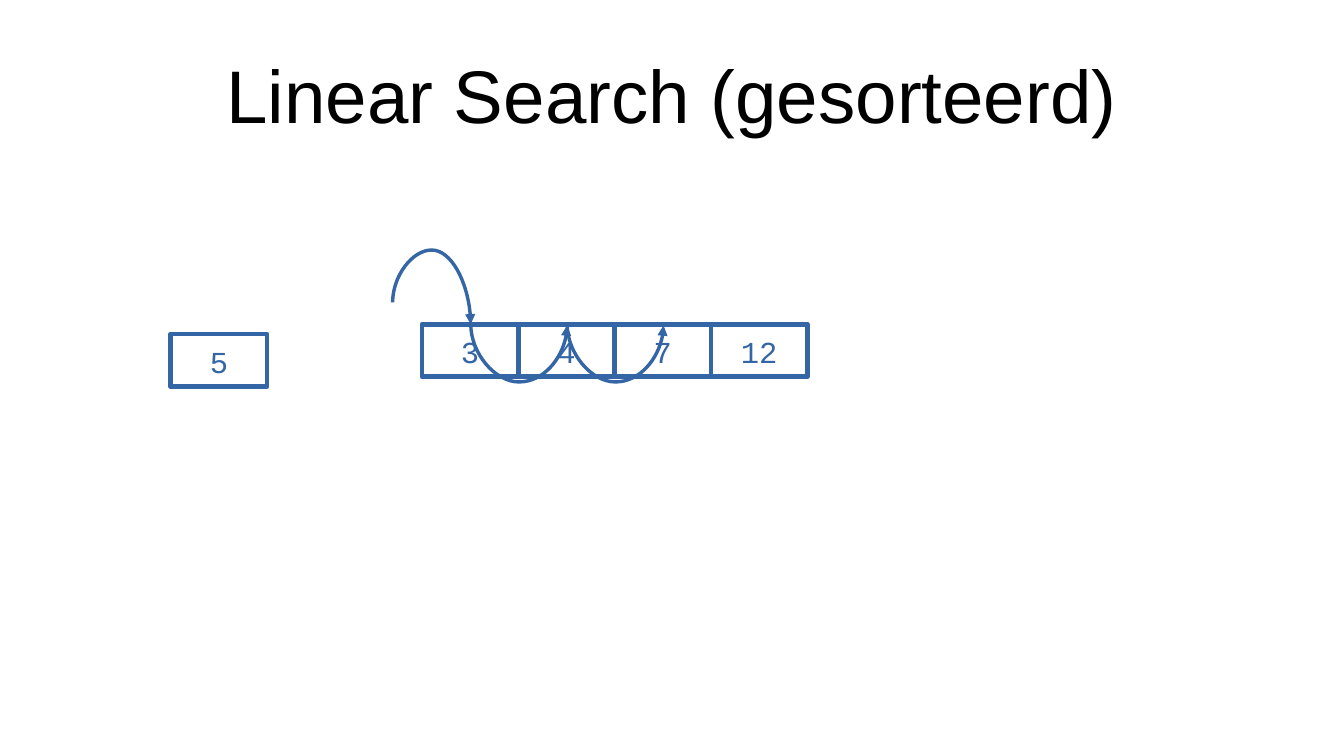
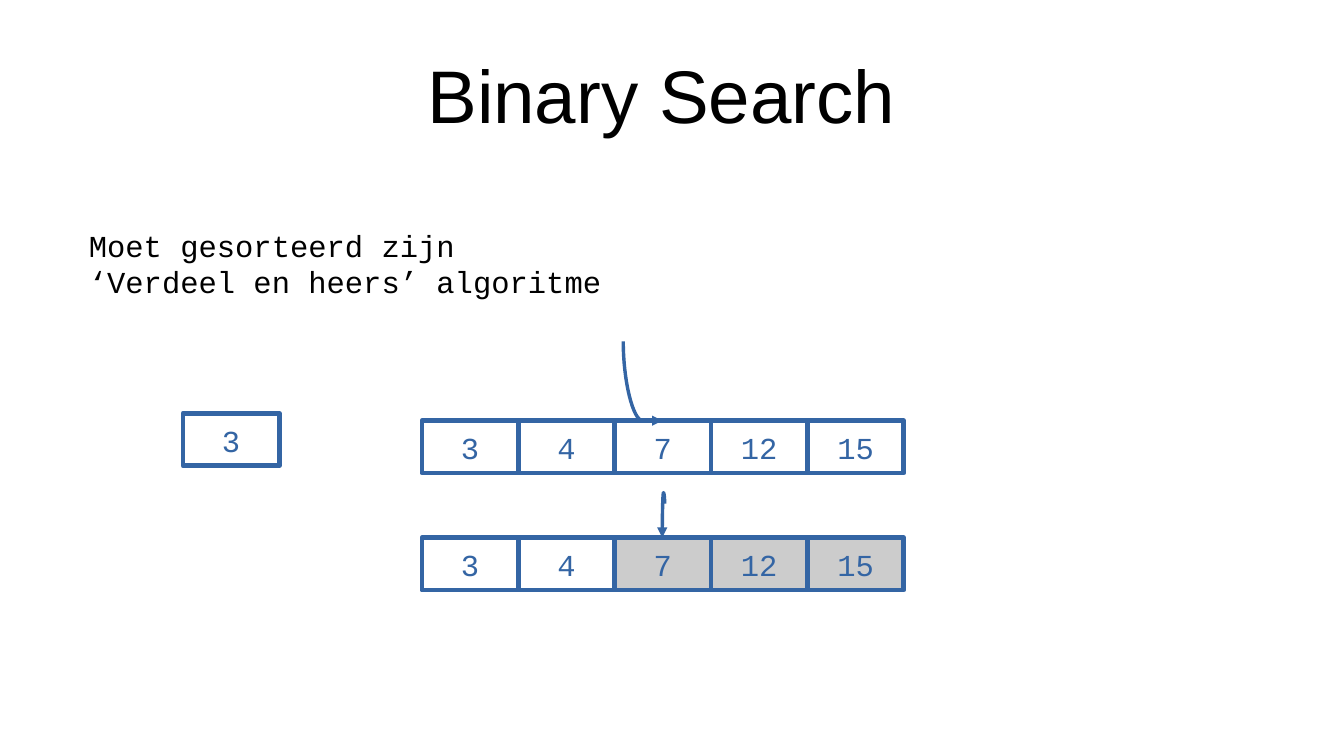
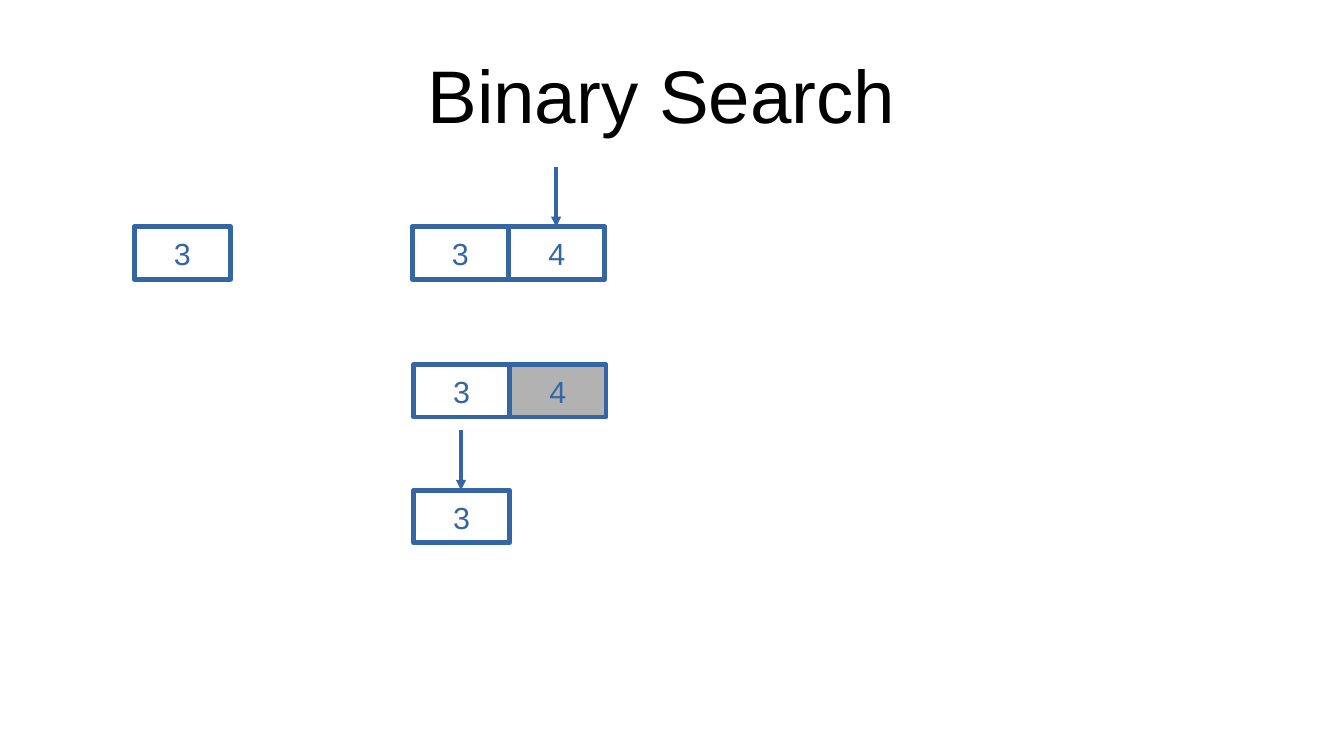
from dataclasses import dataclass

from pptx import Presentation
from pptx.dml.color import RGBColor as RGB
from pptx.enum.shapes import MSO_CONNECTOR as CONN, MSO_SHAPE as SHAPE
from pptx.enum.text import MSO_ANCHOR as ANCHOR, PP_ALIGN as ALIGN
from pptx.oxml.ns import qn
from pptx.util import Inches, Pt
from lxml.etree import SubElement


@dataclass(frozen=True)
class Theme:
    black: RGB = RGB.from_string("000000")
    blue: RGB = RGB.from_string("3465A4")
    light: RGB = RGB.from_string("CCCCCC")
    grey: RGB = RGB.from_string("B2B2B2")
    sans: str = "Arial"
    mono: str = "Courier New"
    title: float = 44
    body: float = 18
    border: float = 2.83
    cell_w: float = 0.79
    cell_h: float = 0.43


class Deck:
    """Draws search diagrams in one shared style."""

    def __init__(self, theme):
        self.t = theme
        self.prs = Presentation()
        self.prs.slide_width = Inches(11.02)
        self.prs.slide_height = Inches(6.2)
        self.s = None

    def slide(self, title):
        t = self.t
        self.s = self.prs.slides.add_slide(self.prs.slide_layouts[6])
        tf = self.s.shapes.add_textbox(*map(Inches, (0.55, 0.25, 9.92, 1.04))).text_frame
        tf.word_wrap = True
        self.label(tf, title, t.title, t.sans, t.black, ALIGN.CENTER, ANCHOR.MIDDLE, (0, 0))

    def label(self, tf, text, size, font, color, align, anchor, insets):
        tf.text = text
        tf.vertical_anchor = anchor
        tf.margin_left = tf.margin_right = Inches(insets[0])
        tf.margin_top = tf.margin_bottom = Inches(insets[1])
        for p in tf.paragraphs:
            p.alignment = align
            for r in p.runs:
                r.font.size = Pt(size)
                r.font.name = font
                r.font.color.rgb = color

    def note(self, x, y, w, h, text):
        t = self.t
        tf = self.s.shapes.add_textbox(*map(Inches, (x, y, w, h))).text_frame
        tf.word_wrap = False
        self.label(tf, text, t.body, t.mono, t.black, ALIGN.LEFT, ANCHOR.TOP, (0.1, 0.05))

    def cells(self, x, y, values, font=None, shaded=(), shade=None):
        t = self.t
        for i, value in enumerate(values):
            box = (x + i * t.cell_w, y, t.cell_w, t.cell_h)
            sp = self.s.shapes.add_shape(SHAPE.RECTANGLE, *map(Inches, box))
            sp.shadow.inherit = False
            if value in shaded:
                sp.fill.solid()
                sp.fill.fore_color.rgb = shade
            else:
                sp.fill.background()
            sp.line.color.rgb = t.blue
            sp.line.width = Pt(t.border)
            self.label(sp.text_frame, str(value), t.body, font or t.mono, t.blue,
                       ALIGN.CENTER, ANCHOR.TOP, (0.12, 0.07))

    def arrow(self, x0, y0, x1, y1, bend=None):
        dx, dy = x1 - x0, y1 - y0
        bend = y1 if bend is None else bend
        w, h = abs(dy), abs(dx)
        left, top = (x0 + x1 - w) / 2, (y0 + y1 - h) / 2
        c = self.s.shapes.add_connector(
            CONN.CURVE, *map(Inches, (left, top, left + w, top + h)))
        c.line.color.rgb = self.t.blue
        c.line.width = Pt(0)
        spPr = c._element.spPr
        xfrm = spPr.find(qn("a:xfrm"))
        xfrm.set("rot", str((270 if dx > 0 else 90) * 60000))
        if dx > 0:
            xfrm.set("flipH", "1")
        guides = spPr.find(qn("a:prstGeom")).find(qn("a:avLst"))
        SubElement(guides, qn("a:gd"), name="adj1",
                   fmla=f"val {round((bend - y0) / dy * 100000)}")
        SubElement(spPr.find(qn("a:ln")), qn("a:tailEnd"), type="triangle")
        SubElement(spPr, qn("a:effectLst"))


def linear_search(d):
    d.slide("Linear Search (gesorteerd)")
    d.cells(3.46, 2.66, (3, 4, 7, 12))
    d.arrow(3.22, 2.48, 3.86, 2.66, bend=2.05)
    for i in range(2):
        x = 3.86 + i * d.t.cell_w
        d.arrow(x, 2.66, x + d.t.cell_w, 2.67, bend=3.14)
    d.cells(1.4, 2.74, (5,))


def binary_search_start(d):
    d.slide("Binary Search ")
    d.note(0.63, 1.81, 4.41, 0.68, "Moet gesorteerd zijn\n‘Verdeel en heers’ algoritme")
    values = (3, 4, 7, 12, 15)
    d.cells(1.5, 3.39, (3,))
    d.cells(3.46, 3.45, values)
    d.arrow(5.11, 2.8, 5.43, 3.45)
    d.cells(3.46, 4.41, values, shaded=(7, 12, 15), shade=d.t.light)
    d.arrow(5.45, 4.13, 5.43, 4.41, bend=4.04)


def binary_search_end(d):
    sans = d.t.sans
    d.slide("Binary Search ")
    d.cells(1.1, 1.86, (3,), sans)
    d.cells(3.38, 1.86, (3, 4), sans)
    d.arrow(4.56, 1.37, 4.56, 1.86)
    d.cells(3.39, 2.99, (3, 4), sans, shaded=(4,), shade=d.t.grey)
    d.cells(3.39, 4.02, (3,), sans)
    d.arrow(3.78, 3.53, 3.78, 4.02)


def main():
    d = Deck(Theme())
    linear_search(d)
    binary_search_start(d)
    binary_search_end(d)
    d.prs.save("out.pptx")


if __name__ == "__main__":
    main()
